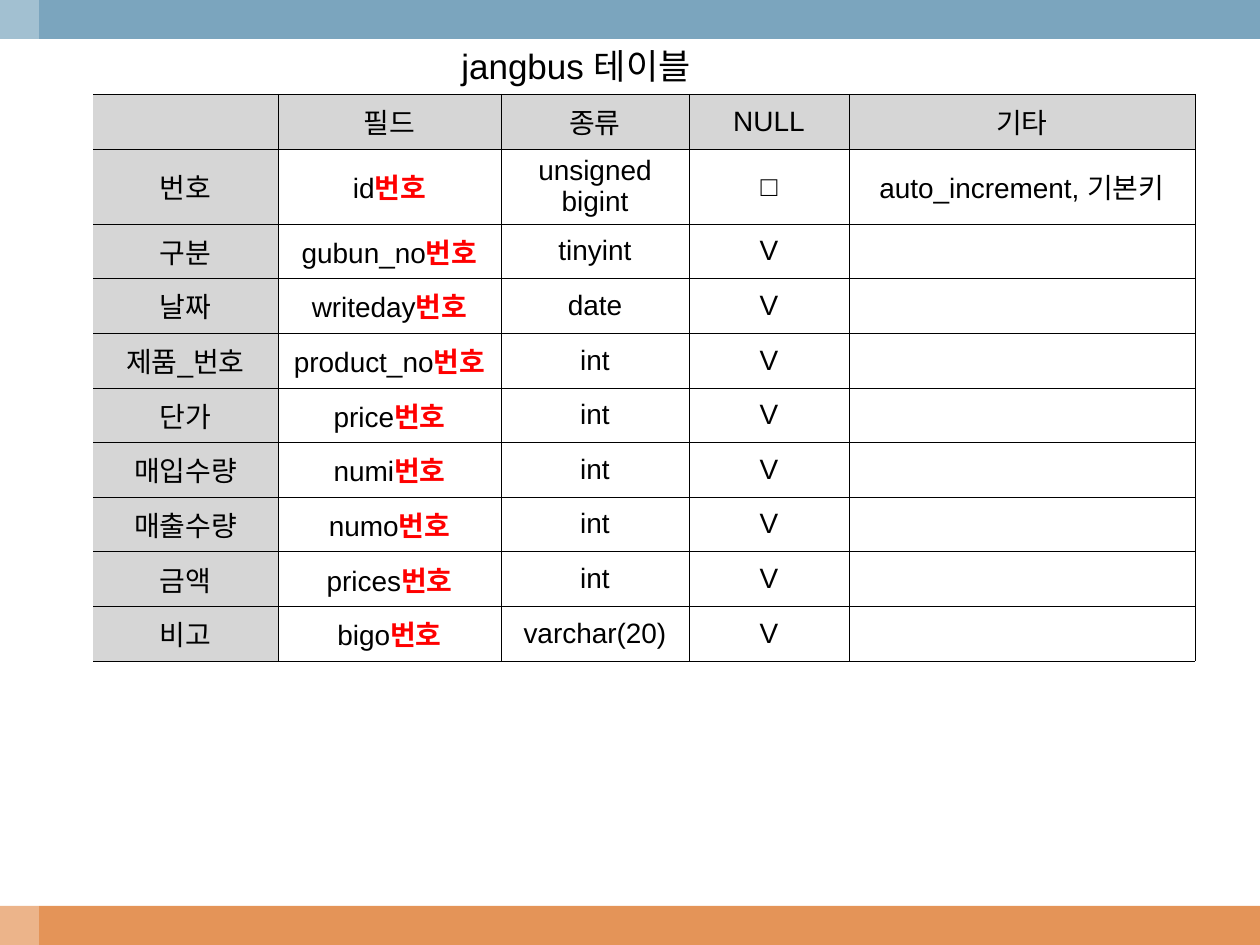
import dataclasses

import lxml.etree
import pptx
import pptx.dml.color
import pptx.enum.shapes
import pptx.enum.text
import pptx.oxml.ns
import pptx.presentation
import pptx.shapes.autoshape
import pptx.slide
import pptx.table
import pptx.text.text
import pptx.util

EMU_PER_PX = 914400 / 126
FONT_NAME = "Arial"
BORDER_WIDTH = pptx.util.Pt(0.11)

BLACK = pptx.dml.color.RGBColor(0x00, 0x00, 0x00)
WHITE = pptx.dml.color.RGBColor(0xFF, 0xFF, 0xFF)
RED = pptx.dml.color.RGBColor(0xFF, 0x00, 0x00)
GRAY = pptx.dml.color.RGBColor(0xD6, 0xD6, 0xD6)
BLUE = pptx.dml.color.RGBColor(0x7B, 0xA5, 0xBE)
ORANGE = pptx.dml.color.RGBColor(0xE4, 0x94, 0x58)


@dataclasses.dataclass(frozen=True)
class Band:
    left: int
    top: int
    width: int
    height: int
    color: pptx.dml.color.RGBColor
    opacity: int = 100


@dataclasses.dataclass(frozen=True)
class Field:
    label: str
    name: str
    kind: str
    null: str = "V"
    note: str = ""


BANDS = [
    Band(0, 906, 1260, 39, ORANGE),
    Band(0, 0, 1260, 39, BLUE),
    Band(0, 0, 39, 945, WHITE, 30),
]
HEADERS = ["", "필드", "종류", "NULL", "기타"]
FIELD_SUFFIX = "번호"
FIELDS = [
    Field("번호", "id", "unsigned bigint", "□", "auto_increment, 기본키"),
    Field("구분", "gubun_no", "tinyint"),
    Field("날짜", "writeday", "date"),
    Field("제품_번호", "product_no", "int"),
    Field("단가", "price", "int"),
    Field("매입수량", "numi", "int"),
    Field("매출수량", "numo", "int"),
    Field("금액", "prices", "int"),
    Field("비고", "bigo", "varchar(20)"),
]
COLUMN_WIDTHS = [185, 223, 188, 160, 346]
HEADER_HEIGHT = 55
FIRST_FIELD_HEIGHT = 72
OTHER_FIELDS_HEIGHT = 437


def px(length: float) -> pptx.util.Emu:
    return pptx.util.Emu(round(length * EMU_PER_PX))


def add_run(
    paragraph: pptx.text.text._Paragraph,
    text: str,
    size: int,
    color: pptx.dml.color.RGBColor = BLACK,
    bold: bool = False,
) -> None:
    run = paragraph.add_run()
    run.text = text
    run.font.name = FONT_NAME
    run.font.size = pptx.util.Pt(size)
    run.font.bold = bold
    run.font.color.rgb = color


def add_band(slide: pptx.slide.Slide, band: Band) -> None:
    shape = slide.shapes.add_shape(
        pptx.enum.shapes.MSO_SHAPE.RECTANGLE,
        px(band.left), px(band.top), px(band.width), px(band.height),
    )
    shape.shadow.inherit = False
    shape.line.fill.background()
    shape.fill.solid()
    shape.fill.fore_color.rgb = band.color
    if band.opacity < 100:
        color = shape._element.spPr.find(".//" + pptx.oxml.ns.qn("a:srgbClr"))
        alpha = lxml.etree.SubElement(color, pptx.oxml.ns.qn("a:alpha"))
        alpha.set("val", str(band.opacity * 1000))


def fill_title(slide: pptx.slide.Slide) -> None:
    title = slide.shapes.title
    title.left, title.top, title.width, title.height = px(402), px(38), px(348), px(57)
    frame = title.text_frame
    frame.auto_size = pptx.enum.text.MSO_AUTO_SIZE.NONE
    frame.vertical_anchor = pptx.enum.text.MSO_ANCHOR.TOP
    frame.word_wrap = True
    paragraph = frame.paragraphs[0]
    paragraph.alignment = pptx.enum.text.PP_ALIGN.CENTER
    add_run(paragraph, "jangbus 테이블", 20)


def set_borders(cell: pptx.table._Cell, has_left: bool) -> None:
    properties = cell._tc.get_or_add_tcPr()
    for index, side in enumerate(["lnL", "lnR", "lnT", "lnB"]):
        line = lxml.etree.Element(pptx.oxml.ns.qn("a:" + side), w=str(BORDER_WIDTH))
        if side == "lnL" and not has_left:
            lxml.etree.SubElement(line, pptx.oxml.ns.qn("a:noFill"))
        else:
            fill = lxml.etree.SubElement(line, pptx.oxml.ns.qn("a:solidFill"))
            lxml.etree.SubElement(fill, pptx.oxml.ns.qn("a:srgbClr"), val=str(BLACK))
        properties.insert(index, line)


def fill_cell(
    cell: pptx.table._Cell, text: str, suffix: str, shaded: bool, has_left: bool
) -> None:
    cell.fill.solid()
    cell.fill.fore_color.rgb = GRAY if shaded else WHITE
    set_borders(cell, has_left)
    cell.vertical_anchor = pptx.enum.text.MSO_ANCHOR.MIDDLE
    cell.margin_left = cell.margin_right = pptx.util.Inches(0.02)
    cell.margin_top = cell.margin_bottom = pptx.util.Inches(0.05)
    paragraph = cell.text_frame.paragraphs[0]
    paragraph.alignment = pptx.enum.text.PP_ALIGN.CENTER
    if text:
        add_run(paragraph, text, 16)
    if suffix:
        add_run(paragraph, suffix, 16, RED, True)


def add_field_table(slide: pptx.slide.Slide) -> None:
    rows = [HEADERS] + [list(dataclasses.astuple(field)) for field in FIELDS]
    other_count = len(FIELDS) - 1
    row_heights = [HEADER_HEIGHT, FIRST_FIELD_HEIGHT]
    row_heights += [OTHER_FIELDS_HEIGHT / other_count] * other_count
    table = slide.shapes.add_table(
        len(rows), len(HEADERS),
        px(93), px(94), px(sum(COLUMN_WIDTHS)), px(sum(row_heights)),
    ).table
    table.horz_banding = False
    for column, width in zip(table.columns, COLUMN_WIDTHS):
        column.width = px(width)
    for row, height in zip(table.rows, row_heights):
        row.height = px(height)
    for row_index, texts in enumerate(rows):
        for column_index, text in enumerate(texts):
            suffix = FIELD_SUFFIX if row_index > 0 and column_index == 1 else ""
            shaded = row_index == 0 or column_index == 0
            cell = table.cell(row_index, column_index)
            fill_cell(cell, text, suffix, shaded, column_index > 0)


def main() -> None:
    presentation = pptx.Presentation()
    presentation.slide_width = px(1260)
    presentation.slide_height = px(945)
    slide = presentation.slides.add_slide(presentation.slide_layouts[5])
    for band in BANDS:
        add_band(slide, band)
    add_field_table(slide)
    fill_title(slide)
    presentation.save("out.pptx")


if __name__ == "__main__":
    main()
